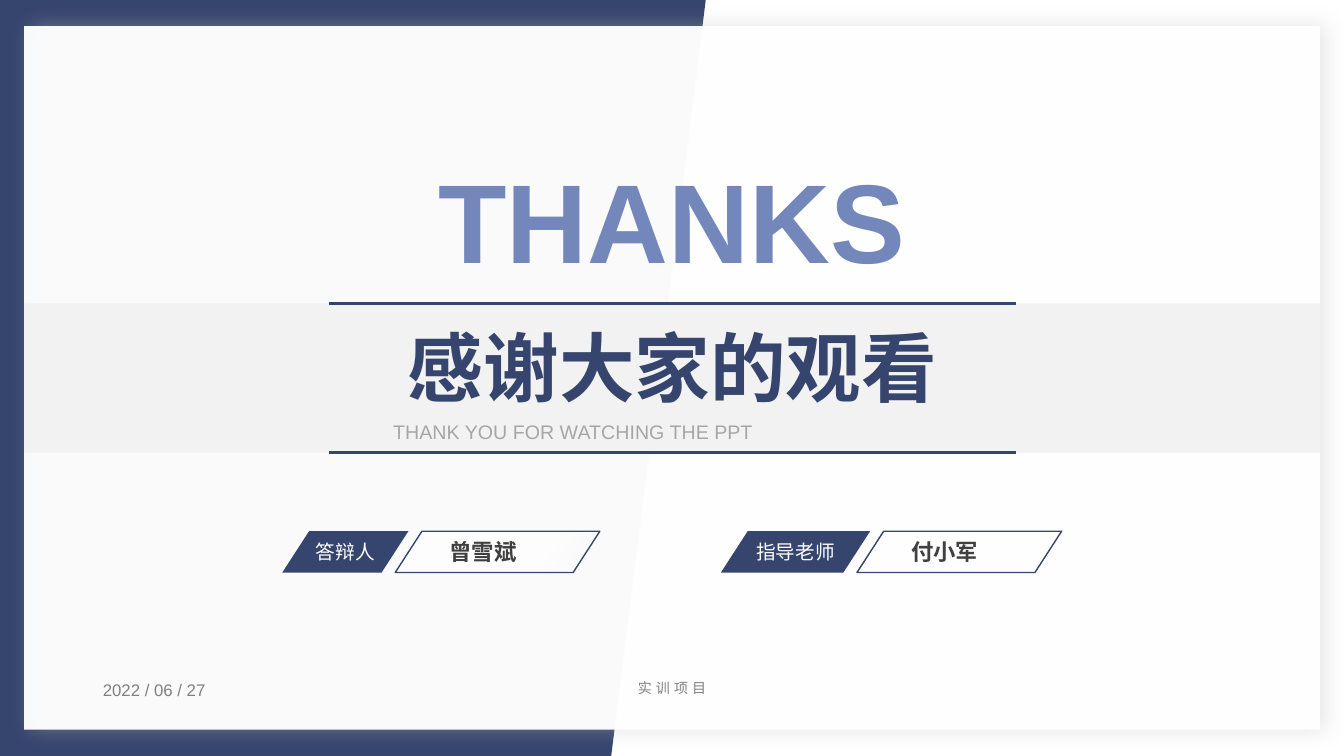
from lxml import etree
from pptx import Presentation
from pptx import util as u
from pptx.dml.color import RGBColor
from pptx.enum import shapes, text
from pptx.oxml import ns, parse_xml

NAVY = RGBColor(0x36, 0x45, 0x6E)
BLUE = RGBColor(0x74, 0x87, 0xBB)
WHITE = RGBColor(0xFF, 0xFF, 0xFF)
BAND = RGBColor(0xF2, 0xF2, 0xF2)
PALE = RGBColor(0xA6, 0xA6, 0xA6)
GREY = RGBColor(0x80, 0x80, 0x80)
DARK = RGBColor(0x40, 0x40, 0x40)
LATIN, CHINESE = "Arial", "Noto Sans CJK SC"
LEFT, CENTER = text.PP_ALIGN.LEFT, text.PP_ALIGN.CENTER
TOP, MIDDLE = text.MSO_ANCHOR.TOP, text.MSO_ANCHOR.MIDDLE


def place(shape, left, top, width, height):
    shape.left, shape.top = u.Inches(left), u.Inches(top)
    shape.width, shape.height = u.Inches(width), u.Inches(height)


def add_alpha(color_element, percent):
    alpha = etree.SubElement(color_element, ns.qn("a:alpha"))
    alpha.set("val", str(percent * 1000))


def write(shape, words, size, color, font_name=CHINESE, bold=False,
          align=LEFT, anchor=TOP, inset=0, spacing=0):
    frame = shape.text_frame
    frame.text = words
    frame.word_wrap = True
    frame.auto_size = text.MSO_AUTO_SIZE.NONE
    frame.vertical_anchor = anchor
    frame.margin_left = frame.margin_right = u.Inches(inset)
    frame.margin_top = frame.margin_bottom = u.Inches(0.05)
    paragraph = frame.paragraphs[0]
    paragraph.alignment = align
    paragraph.space_before = u.Pt(0)
    font = paragraph.font
    font.size, font.bold, font.name = u.Pt(size), bold, font_name
    font.color.rgb = color
    east_asian = etree.SubElement(font._element, ns.qn("a:ea"))
    east_asian.set("typeface", CHINESE)
    if spacing:
        font._element.set("spc", str(spacing * 100))
    return paragraph


def add_text(slide, box, words, size, color, **style):
    shape = slide.shapes.add_textbox(*map(u.Inches, box))
    write(shape, words, size, color, **style)


def add_block(slide, kind, box, color=None):
    shape = slide.shapes.add_shape(kind, *map(u.Inches, box))
    shape.shadow.inherit = False
    shape.line.fill.background()
    if color is not None:
        shape.fill.solid()
        shape.fill.fore_color.rgb = color
    return shape


def add_rule(slide, left, right, y):
    rule = slide.shapes.add_connector(
        shapes.MSO_CONNECTOR.STRAIGHT, *map(u.Inches, (left, y, right, y)))
    rule.line.color.rgb = NAVY
    rule.line.width = u.Pt(2.25)
    etree.SubElement(rule._element.spPr, ns.qn("a:effectLst"))


def add_backdrop(slide, left, top, width, height):
    # Slanted navy side
    builder = slide.shapes.build_freeform(0, 0, scale=u.Inches(1))
    builder.add_line_segments([(7.4, 0), (5.93, 7.5), (0, 7.5)])
    side = builder.convert_to_shape()
    side.shadow.inherit = False
    side.fill.solid()
    side.fill.fore_color.rgb = NAVY
    side.line.fill.background()

    # Translucent card with a soft shadow
    card = add_block(slide, shapes.MSO_SHAPE.RECTANGLE,
                     (left, top, width, height), WHITE)
    properties = card._element.spPr
    add_alpha(properties.find(ns.qn("a:solidFill"))[0], 97)
    properties.find(ns.qn("a:effectLst")).append(parse_xml(
        f'<a:outerShdw {ns.nsdecls("a")} blurRad="{u.Pt(15)}" '
        f'dist="{u.Pt(5)}" dir="0" algn="ctr" rotWithShape="0">'
        '<a:srgbClr val="BFBFBF"><a:alpha val="40000"/></a:srgbClr>'
        '</a:outerShdw>'))


def add_title_band(slide, left, top, width, height):
    add_block(slide, shapes.MSO_SHAPE.RECTANGLE,
              (left, top, width, height), BAND)

    # Title and subtitle, raised above the band
    title, subtitle = slide.shapes.title, slide.placeholders[1]
    for placeholder in (title, subtitle):
        slide.shapes.element.append(placeholder._element)
    place(title, left + 2.85, top + 0.12, 7.16, 1.01)
    write(title, "感谢大家的观看", 54, NAVY, bold=True, align=CENTER,
          anchor=MIDDLE)
    place(subtitle, left + 3.66, top + 1.13, 5.53, 0.27)
    paragraph = write(subtitle, "THANK YOU FOR WATCHING THE PPT", 14, PALE,
                      font_name=LATIN)
    paragraph.line_spacing = 0.9

    # Rules along both edges
    for y in (top, top + height):
        add_rule(slide, left + 3.02, left + 9.84, y)


def add_person(slide, left, top, label_width, role, name):
    height, name_width = 0.41, 2.03
    name_left = left + label_width - 0.13

    # Outlined name plate, fading to the right
    plate = add_block(slide, shapes.MSO_SHAPE.PARALLELOGRAM,
                      (name_left, top, name_width, height))
    plate.fill.gradient()
    plate.fill.gradient_angle = 330
    for stop, position in zip(plate.fill.gradient_stops, (0.69, 0.88)):
        stop.position = position
        stop.color.rgb = WHITE
    stops = plate._element.spPr.findall(".//" + ns.qn("a:srgbClr"))
    add_alpha(stops[-1], 0)
    plate.line.color.rgb = NAVY
    plate.line.width = u.Pt(1)

    # Solid role label
    label = add_block(slide, shapes.MSO_SHAPE.PARALLELOGRAM,
                      (left, top, label_width, height), NAVY)
    write(label, role, 14, WHITE, align=CENTER, anchor=MIDDLE)
    for shape in (plate, label):
        shape.adjustments[0] = 0.647

    add_text(slide, (name_left + 0.44, top + 0.02, 1.6, 0.37), name, 16,
             DARK, bold=True, anchor=MIDDLE, inset=0.1)


def add_footer(slide, left, top):
    add_text(slide, (left, top, 1.3, 0.3), "2022 / 06 / 27", 12, GREY,
             font_name=LATIN)
    add_text(slide, (left + 3.01, top, 5.27, 0.27), "实训项目", 10, GREY,
             font_name=LATIN, align=CENTER, anchor=MIDDLE, inset=0.1,
             spacing=3)


def build_closing_slide(presentation):
    slide = presentation.slides.add_slide(presentation.slide_layouts[0])
    add_backdrop(slide, 0.24, 0.26, 12.85, 6.98)
    add_title_band(slide, 0.24, 3.01, 12.85, 1.48)
    add_text(slide, (4.26, 1.45, 4.81, 1.45), "THANKS", 80, BLUE,
             font_name=LATIN, bold=True, align=CENTER)
    add_person(slide, 2.8, 5.27, 1.25, "答辩人", "曾雪斌")
    add_person(slide, 7.15, 5.27, 1.48, "指导老师", "付小军")
    add_footer(slide, 1.02, 6.69)


def main():
    presentation = Presentation()
    presentation.slide_width = u.Inches(13.33)
    presentation.slide_height = u.Inches(7.5)
    build_closing_slide(presentation)
    presentation.save("out.pptx")


if __name__ == "__main__":
    main()
